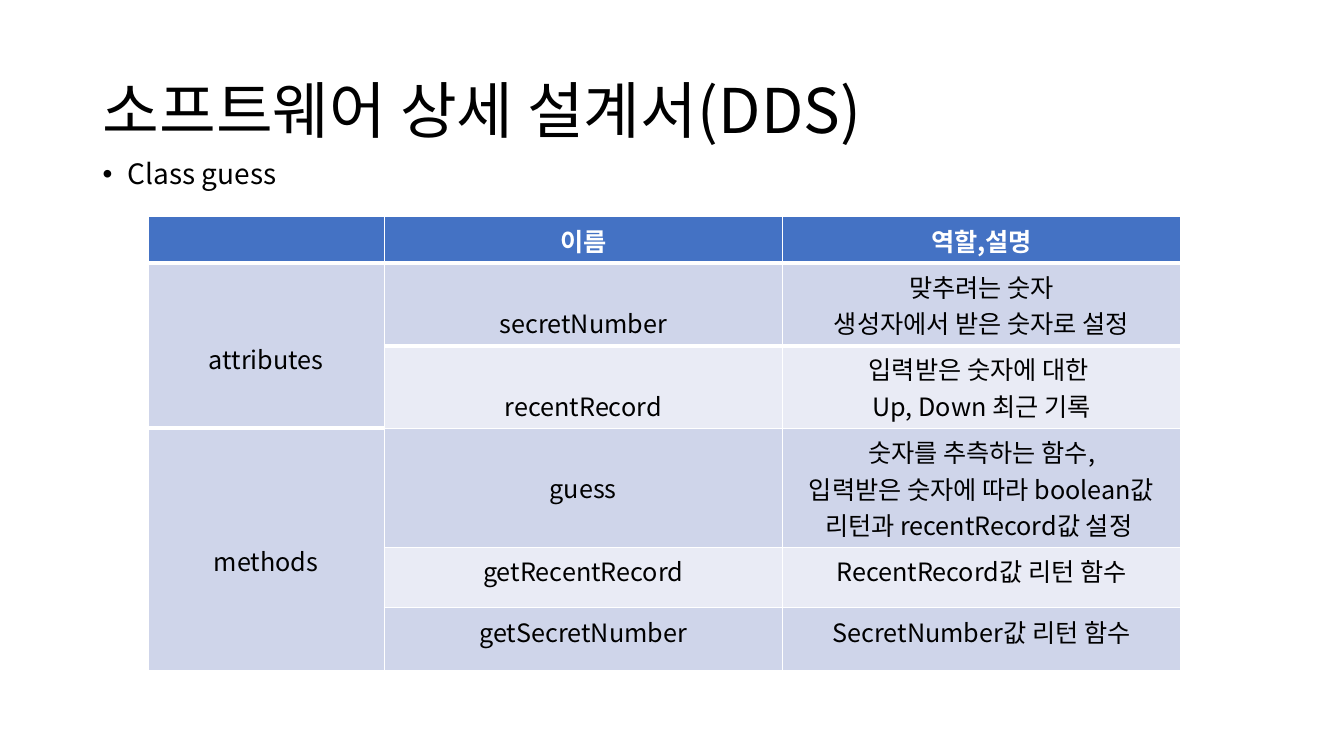
from lxml.etree import SubElement
from pptx import Presentation
from pptx.dml.color import RGBColor
from pptx.enum.text import MSO_ANCHOR, MSO_AUTO_SIZE, PP_ALIGN
from pptx.oxml.ns import qn
from pptx.util import Inches, Pt

# Content
TITLE = "소프트웨어 상세 설계서(DDS)"
CLASS_NAME = "Class guess"
HEADERS = ["", "이름", "역할,설명"]
# Each group: label, lines the label is lowered, then its members
# as (name, description lines, lines the name is lowered)
GROUPS = [
    ("attributes", 2, [
        ("secretNumber", ["맞추려는 숫자", "생성자에서 받은 숫자로 설정"], 1),
        ("recentRecord", ["입력받은 숫자에 대한 ", "Up, Down 최근 기록"], 1),
    ]),
    ("methods", 3, [
        ("guess", ["숫자를 추측하는 함수,",
                   "입력받은 숫자에 따라 boolean값 리턴과 recentRecord값 설정\u00a0"], 1),
        ("getRecentRecord", ["RecentRecord값 리턴 함수"], 0),
        ("getSecretNumber", ["SecretNumber값 리턴 함수"], 0),
    ]),
]
COLUMN_WIDTHS = [2.34, 3.95, 3.95]
ROW_HEIGHTS = [0.46, 0.82, 0.82, 1.18, 0.6, 0.62]
CELL_MARGIN, LINE_HEIGHT = 0.05, 0.36

FONT = "Noto Sans CJK KR"
BLACK = RGBColor(0x00, 0x00, 0x00)
WHITE = RGBColor(0xFF, 0xFF, 0xFF)
HEADER_BLUE = RGBColor(0x44, 0x72, 0xC4)
BANDS = [RGBColor(0xCF, 0xD5, 0xEA), RGBColor(0xE9, 0xEB, 0xF5)]


def format_paragraph(paragraph, size, color=BLACK, bold=False, align=PP_ALIGN.LEFT):
    paragraph.alignment = align
    font = paragraph.font
    font.size, font.bold, font.name = Pt(size), bold, FONT
    font.color.rgb = color
    properties = paragraph._p.get_or_add_pPr().find(qn("a:defRPr"))
    SubElement(properties, qn("a:ea"), typeface=FONT)


def fill_cell(cell, lines, fill, color=BLACK, bold=False, lowered=0):
    cell.fill.solid()
    cell.fill.fore_color.rgb = fill
    cell.margin_top = Inches(CELL_MARGIN + lowered * LINE_HEIGHT)
    cell.text = "\n".join(lines)
    for paragraph in cell.text_frame.paragraphs:
        format_paragraph(paragraph, 18, color, bold, PP_ALIGN.CENTER)


def add_border(cell, side, width):
    properties = cell._tc.get_or_add_tcPr()
    line = SubElement(properties, qn(f"a:{side}"), w=str(Pt(width)))
    SubElement(SubElement(line, qn("a:solidFill")), qn("a:srgbClr"), val=str(WHITE))
    properties.insert(0, line)  # borders come before the cell fill


presentation = Presentation()
presentation.slide_width, presentation.slide_height = Inches(13.33), Inches(7.5)
slide = presentation.slides.add_slide(presentation.slide_layouts[5])

# Title
title = slide.shapes.title
title.left, title.top, title.width, title.height = map(Inches, (0.92, 0.4, 11.5, 1.45))
title.text = TITLE
title.text_frame.auto_size = MSO_AUTO_SIZE.NONE
title.text_frame.vertical_anchor = MSO_ANCHOR.MIDDLE
title_paragraph = title.text_frame.paragraphs[0]
title_paragraph.line_spacing = 0.9
format_paragraph(title_paragraph, 44)

# Bulleted class name
body = slide.shapes.add_textbox(*map(Inches, (0.92, 1.54, 11.5, 5.22)))
body.text_frame.word_wrap = True
bullet = body.text_frame.paragraphs[0]
bullet.text = CLASS_NAME
bullet.line_spacing, bullet.space_before = 0.9, Pt(10)
bullet_properties = bullet._p.get_or_add_pPr()
bullet_properties.set("marL", str(Inches(0.25)))
bullet_properties.set("indent", str(-Inches(0.25)))
SubElement(bullet_properties, qn("a:buFont"), typeface="Arial")
SubElement(bullet_properties, qn("a:buChar"), char="•")
format_paragraph(bullet, 20)

# Table of class members
table = slide.shapes.add_table(
    len(ROW_HEIGHTS), len(COLUMN_WIDTHS), Inches(1.47), Inches(2.15),
    Inches(sum(COLUMN_WIDTHS)), Inches(sum(ROW_HEIGHTS))).table
for column, width in zip(table.columns, COLUMN_WIDTHS):
    column.width = Inches(width)
for row, height in zip(table.rows, ROW_HEIGHTS):
    row.height = Inches(height)

for column_index, header in enumerate(HEADERS):
    fill_cell(table.cell(0, column_index), [header], HEADER_BLUE, WHITE, bold=True)

row_index = 1
for label, label_lowered, members in GROUPS:
    label_cell = table.cell(row_index, 0)
    label_cell.merge(table.cell(row_index + len(members) - 1, 0))
    fill_cell(label_cell, [label], BANDS[0], lowered=label_lowered)
    for name, description, name_lowered in members:
        band = BANDS[(row_index - 1) % 2]
        fill_cell(table.cell(row_index, 1), [name], band, lowered=name_lowered)
        fill_cell(table.cell(row_index, 2), description, band)
        row_index += 1

# Thick rule under the header
for column_index in range(len(HEADERS)):
    add_border(table.cell(0, column_index), "lnB", 3)
    add_border(table.cell(1, column_index), "lnT", 3)

presentation.save("out.pptx")
